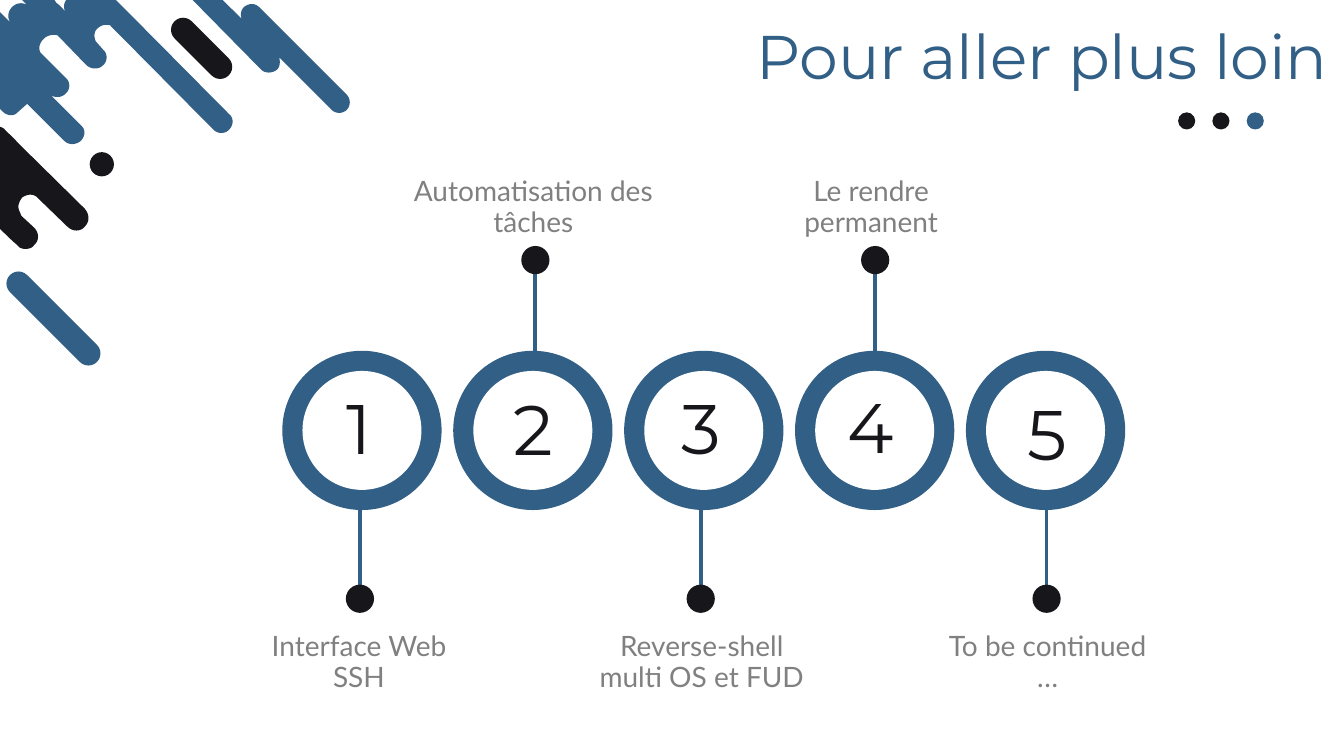
from lxml.etree import SubElement
from pptx import Presentation
from pptx.dml.color import RGBColor
from pptx.enum.shapes import MSO_CONNECTOR, MSO_SHAPE
from pptx.enum.text import MSO_ANCHOR, MSO_AUTO_SIZE, PP_ALIGN
from pptx.oxml.ns import qn
from pptx.util import Inches, Pt

TITLE = "Pour aller plus loin"
# label, label centre, dot centre, top of the number
STEPS = [
    ("Interface Web SSH", 3.56, 3.57, 3.77),
    ("Automatisation des tâches", 5.29, 5.31, 3.78),
    ("Reverse-shell multi OS et FUD", 6.96, 6.95, 3.77),
    ("Le rendre permanent", 8.64, 8.68, 3.76),
    ("To be continued …", 10.39, 10.38, 3.83),
]

# Outlines in hundredths of an inch: pairs are lines, sixes are curves
SPLASH = [
    (22, 0), (54, 0), (56, 3), (59, 5, 62, 8, 65, 12),
    (63, 8, 63, 5, 65, 1), (66, 0), (115, 0), (117, 2), (227, 113),
    (232, 117, 232, 124, 227, 129), (223, 133, 216, 133, 212, 129),
    (109, 25), (105, 24, 100, 25, 97, 28), (93, 31, 93, 37, 95, 41),
    (102, 49), (107, 53, 107, 61, 102, 65), (98, 69, 91, 69, 86, 65),
    (57, 35), (53, 34, 47, 35, 44, 38), (43, 39),
    (39, 43, 38, 48, 40, 52), (65, 77), (70, 81, 70, 89, 65, 93),
    (61, 97, 56, 97, 51, 95), (80, 124), (85, 128, 85, 135, 80, 140),
    (75, 144, 68, 144, 64, 140), (27, 103), (18, 111),
    (14, 116, 7, 115, 3, 111), (0, 108), (0, 12), (10, 22),
    (7, 17, 8, 11, 12, 7), (16, 3, 22, 2, 27, 5), (24, 2),
]
STREAK = [
    (191, 0), (221, 0), (240, 19), (238, 15, 239, 10, 242, 7),
    (247, 3, 253, 3, 257, 7), (344, 94), (348, 98, 348, 105, 344, 109),
    (340, 113, 333, 113, 329, 109), (277, 57),
    (278, 61, 278, 66, 275, 69), (270, 73, 263, 73, 259, 69), (199, 8),
]
DRIP = [
    (0, 126), (1, 126), (2, 127, 4, 127, 5, 129),
    (9, 133, 14, 137, 17, 141), (84, 207), (89, 213, 89, 220, 84, 225),
    (80, 230, 72, 230, 67, 225), (36, 195),
    (32, 192, 26, 193, 22, 196), (18, 201, 17, 206, 20, 211), (21, 214),
    (34, 226), (39, 231, 39, 239, 34, 243),
    (32, 246, 29, 247, 25, 247), (22, 247, 19, 246, 17, 243),
    (11, 238, 6, 233, 1, 228), (0, 227),
]


class Theme:
    blue = RGBColor(0x31, 0x5F, 0x85)
    black = RGBColor(0x17, 0x17, 0x1B)
    grey = RGBColor(0x80, 0x80, 0x80)
    white = RGBColor(0xFF, 0xFF, 0xFF)
    head, body = "Montserrat", "Lato"
    title, number, label = Pt(44), Pt(50), Pt(20)
    leading, stem = Pt(22.2), Pt(2.7)


# Centres of the rings and rows of the timeline, in inches
FIRST, LAST, MID = 3.59, 10.37, 4.27
PITCH = (LAST - FIRST) / (len(STEPS) - 1)
RING, HOLE, DOT = 1.58, 1.18, 0.28
HIGH, LOW = (2.58, 1.7), (5.94, 6.21)  # dot centre, label top


def paint(shape, color):
    shape.shadow.inherit = False
    shape.fill.solid()
    shape.fill.fore_color.rgb = color
    shape.line.fill.background()


def disc(shapes, x, y, size, color):
    """Draw a circle centred on x, y."""
    paint(shapes.add_shape(MSO_SHAPE.OVAL, Inches(x - size / 2),
                           Inches(y - size / 2), Inches(size), Inches(size)), color)


def pill(shapes, x, y, length, thick, color):
    """Draw a round-ended bar centred on x, y, falling to the right."""
    bar = shapes.add_shape(MSO_SHAPE.ROUNDED_RECTANGLE, Inches(x - length / 2),
                           Inches(y - thick / 2), Inches(length), Inches(thick))
    bar.adjustments[0] = 0.5
    bar.rotation = 45
    paint(bar, color)


def flatten(path, cuts=8):
    """Turn lines and Bézier curves into a list of points."""
    points = []
    for part in path:
        if len(part) == 2:
            points.append(part)
            continue
        ends = [points[-1], part[:2], part[2:4], part[4:]]
        for step in range(1, cuts + 1):
            t = step / cuts
            mix = ((1 - t) ** 3, 3 * t * (1 - t) ** 2, 3 * t * t * (1 - t), t ** 3)
            points.append(tuple(sum(m * p[axis] for m, p in zip(mix, ends))
                                for axis in (0, 1)))
    return points


def blob(shapes, path, color):
    points = [(Inches(x / 100), Inches(y / 100)) for x, y in flatten(path)]
    pen = shapes.build_freeform(*points[0])
    pen.add_line_segments(points[1:], close=True)
    paint(pen.convert_to_shape(), color)


def style(frame, text, font, size, color, align):
    frame.text = text
    frame.auto_size = MSO_AUTO_SIZE.NONE
    para = frame.paragraphs[0]
    para.alignment = align
    para.font.name, para.font.size = font, size
    para.font.color.rgb = color
    return para


def write(shapes, text, x, top, width, height, font, size, color, wrap):
    """Add a text box centred on x."""
    box = shapes.add_textbox(Inches(x - width / 2), Inches(top),
                             Inches(width), Inches(height))
    box.text_frame.word_wrap = wrap
    return style(box.text_frame, text, font, size, color, PP_ALIGN.CENTER)


def stem(shapes, x, end):
    line = shapes.add_connector(MSO_CONNECTOR.STRAIGHT, Inches(x), Inches(MID),
                                Inches(x), Inches(end))
    line.line.color.rgb = Theme.blue
    line.line.width = Theme.stem
    SubElement(line._element.spPr, qn("a:effectLst"))


def timeline(shapes):
    for i, (label, mid, dot, top) in enumerate(STEPS):
        level, row = HIGH if i % 2 else LOW
        ring = FIRST + i * PITCH
        stem(shapes, dot, level)
        disc(shapes, ring, MID, RING, Theme.blue)
        disc(shapes, ring, MID, HOLE, Theme.white)
        disc(shapes, dot, level, DOT, Theme.black)
        width = 3.07 if i == 1 else 2.42
        para = write(shapes, label, mid, row, width, 0.72, Theme.body,
                     Theme.label, Theme.grey, True)
        para.line_spacing = Theme.leading
        write(shapes, str(i + 1), mid, top, 0.6, 0.94, Theme.head,
              Theme.number, Theme.black, False)


def corner(shapes):
    blob(shapes, SPLASH, Theme.blue)
    pill(shapes, 2, 0.48, 0.76, 0.24, Theme.black)
    disc(shapes, 1.01, 1.63, 0.24, Theme.black)
    blob(shapes, STREAK, Theme.blue)
    blob(shapes, DRIP, Theme.black)
    pill(shapes, 0.53, 3.16, 1.22, 0.24, Theme.blue)


def heading(shapes):
    title = shapes.title
    title.left, title.top = Inches(7.4), Inches(0.13)
    title.width, title.height = Inches(5.94), Inches(0.84)
    frame = title.text_frame
    frame.word_wrap = False
    frame.vertical_anchor = MSO_ANCHOR.TOP
    style(frame, TITLE, Theme.head, Theme.title, Theme.blue, PP_ALIGN.LEFT)
    for i, color in enumerate((Theme.black, Theme.black, Theme.blue)):
        disc(shapes, 11.77 + i * 0.34, 1.2, 0.17, color)


def main():
    deck = Presentation()
    deck.slide_width, deck.slide_height = Inches(13.33), Inches(7.5)
    shapes = deck.slides.add_slide(deck.slide_layouts[5]).shapes
    timeline(shapes)
    corner(shapes)
    heading(shapes)
    deck.save("out.pptx")


if __name__ == "__main__":
    main()
